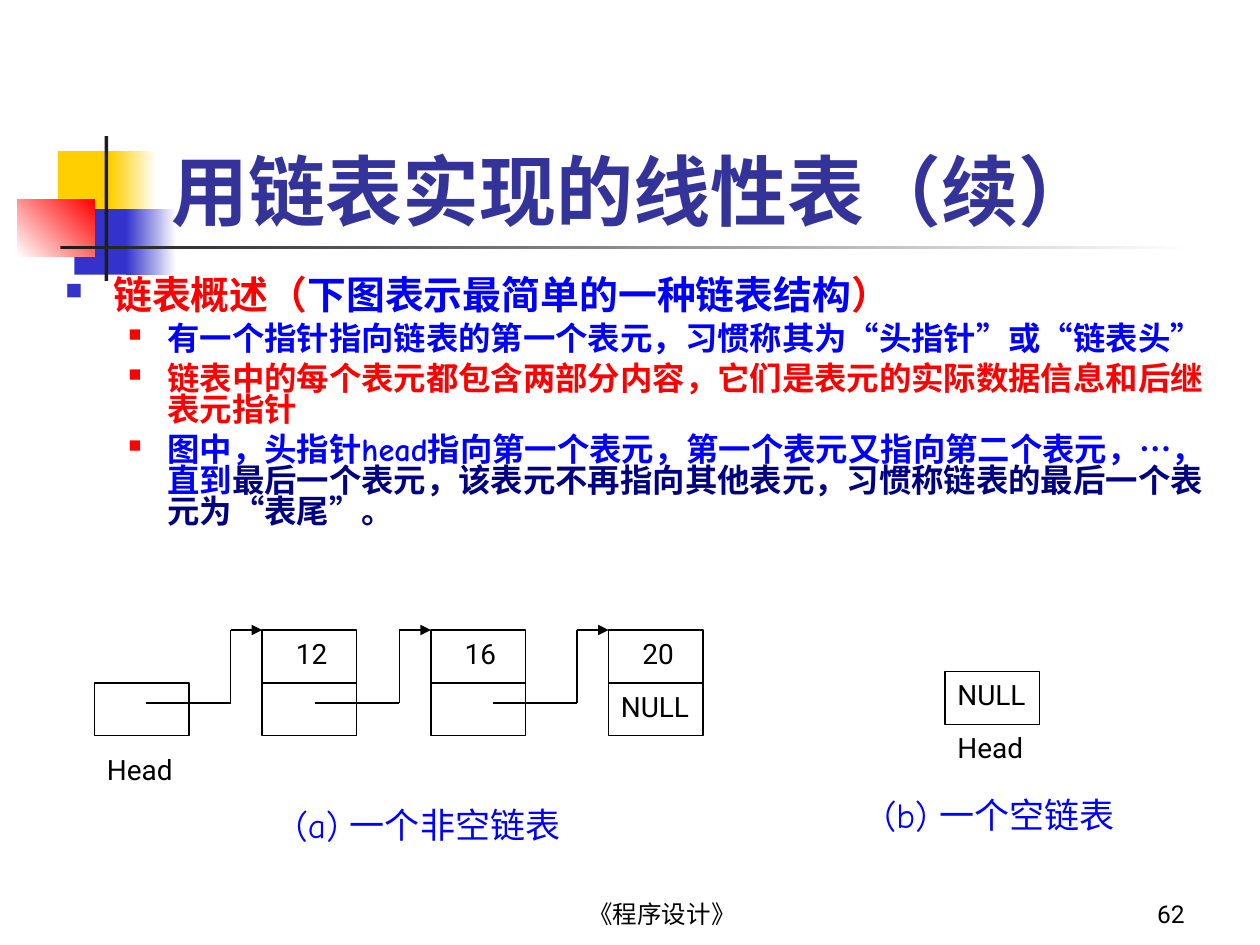
from lxml import etree
from pptx import Presentation
from pptx.dml.color import RGBColor
from pptx.enum.shapes import MSO_CONNECTOR as CONN, MSO_SHAPE as SHAPE
from pptx.enum.text import MSO_ANCHOR as ANCHOR, PP_ALIGN as ALIGN
from pptx.oxml.ns import qn
from pptx.util import Inches, Pt

COLORS = {
    "black": "000000", "white": "FFFFFF", "ink": "1C1C1C", "yellow": "FFCF01",
    "indigo": "3333CC", "red": "FF0000", "title": "333399", "blue": "0000FF",
    "navy": "000080",
}
SANS, COMIC = "Roboto", "Comic Neue"
CELL_W, CELL_H = 0.75, 0.42


def rgb(name):
    return RGBColor.from_string(COLORS[name])


def add_run(p, text, size, color, font=SANS, bold=False):
    r = p.add_run()
    r.text = text
    r.font.size, r.font.name, r.font.bold = Pt(size), font, bold
    r.font.color.rgb = rgb(color)


def add_box(slide, box, anchor=ANCHOR.TOP):
    """Add an empty wrapping text box and return its text frame."""
    tf = slide.shapes.add_textbox(*map(Inches, box)).text_frame
    tf.word_wrap = True
    tf.vertical_anchor = anchor
    return tf


def add_label(slide, box, text, size=16, color="black", font=SANS, bold=False,
              align=ALIGN.LEFT, anchor=ANCHOR.TOP):
    p = add_box(slide, box, anchor).paragraphs[0]
    p.alignment = align
    add_run(p, text, size, color, font, bold)


def add_block(slide, box, start, end=None, angle=0):
    """Add a borderless rectangle, plain or with a gradient from start to end."""
    s = slide.shapes.add_shape(SHAPE.RECTANGLE, *map(Inches, box))
    s.shadow.inherit = False
    s.line.fill.background()
    if end is None:
        s.fill.solid()
        s.fill.fore_color.rgb = rgb(start)
        return
    s.fill.gradient()
    s.fill.gradient_angle = angle
    for stop, color in zip(s.fill.gradient_stops, (start, end)):
        stop.color.rgb = rgb(color)


def add_cell(slide, x, y):
    s = slide.shapes.add_shape(SHAPE.RECTANGLE, *map(Inches, (x, y, CELL_W, CELL_H)))
    s.shadow.inherit = False
    s.fill.background()
    s.line.color.rgb = rgb("black")
    s.line.width = Pt(0.75)


def add_line(slide, start, end, arrow=False):
    c = slide.shapes.add_connector(CONN.STRAIGHT, *map(Inches, (*start, *end)))
    c.line.color.rgb = rgb("black")
    c.line.width = Pt(0.75)
    if arrow:
        etree.SubElement(c.line._get_or_add_ln(), qn("a:tailEnd"), type="triangle")
    etree.SubElement(c._element.spPr, qn("a:effectLst"))


def set_bullet(p, color, percent, margin, hanging):
    pPr = p._p.get_or_add_pPr()
    pPr.set("marL", str(Inches(margin)))
    pPr.set("indent", str(-Inches(hanging)))
    clr = etree.SubElement(pPr, qn("a:buClr"))
    etree.SubElement(clr, qn("a:srgbClr"), val=COLORS[color])
    etree.SubElement(pPr, qn("a:buSzPct"), val=str(percent * 1000))
    etree.SubElement(pPr, qn("a:buChar"), char="■")


def add_ornament(slide, x, y):
    for dx, dy, w, h, *fill in (
        (0.32, 0.12, 0.48, 0.52, "yellow"),
        (0.74, 0.12, 0.36, 0.52, "yellow", "white"),
        (0.45, 0.58, 0.46, 0.52, "indigo"),
        (0.86, 0.58, 0.4, 0.52, "indigo", "white"),
        (0, 0.5, 0.61, 0.46, "white", "red", 45),
        (0.69, 0, 0.03, 1.15, "ink"),
        (0.34, 0.87, 9, 0.03, "ink", "white"),
    ):
        add_block(slide, (x + dx, y + dy, w, h), *fill)


def add_footer(slide, y, h):
    add_label(slide, (3.67, y, 3.17, h), "《程序设计》", 14,
              align=ALIGN.CENTER, anchor=ANCHOR.BOTTOM)
    add_label(slide, (7.42, y, 2.08, h), "62", 14,
              align=ALIGN.RIGHT, anchor=ANCHOR.BOTTOM)


def add_body(slide, box):
    heading = [("链表概述（", "red"), ("下图表示最简单的一种链表结构", "blue"), ("）", "red")]
    points = [
        [("有一个指针指向链表的第一个表元，习惯称其为“头指针”或“链表头”", "blue")],
        [("链表中的每个表元都包含两部分内容，它们是表元的实际数据信息和后继表元指针", "red")],
        [("图中，头指针head指向第一个表元，第一个表元又指向第二个表元，…，直到", "blue"),
         ("最后一个表元，该表元不再指向其他表元，习惯称链表的最后一个表元为“表尾”。", "navy")],
    ]
    tf = add_box(slide, box)
    for i, parts in enumerate([heading, *points]):
        if i == 0:
            p, size = tf.paragraphs[0], 22.2
            set_bullet(p, "indigo", 60, 0.38, 0.38)
        else:
            p, size = tf.add_paragraph(), 18.5
            p.level = 1
            set_bullet(p, "red", 55, 0.81, 0.31)
            p.space_before = Pt(5)
        p.line_spacing = 0.8
        for text, color in parts:
            add_run(p, text, size, color, COMIC, bold=True)


def add_link(slide, x, top):
    """Draw the stepped pointer that ends at the upper left corner of a node."""
    start, bend, low = x - 0.92, x - 0.25, top + 0.58
    add_line(slide, (start, low), (bend, low))
    add_line(slide, (bend, low), (bend, top))
    add_line(slide, (bend, top), (x, top), arrow=True)


def add_filled_list(slide, x, y):
    """Draw the head cell and the three linked nodes."""
    low = y + CELL_H
    add_cell(slide, x, low)
    add_label(slide, (x, y + 0.92, CELL_W, 0.37), "Head")
    nodes = ((x + 1.33, "12"), (x + 2.67, "16"), (x + 4.08, "20"))
    for node_x, value in nodes:
        add_cell(slide, node_x, low)
        add_cell(slide, node_x, y)
        add_label(slide, (node_x + 0.17, y, 0.5, 0.37), value)
        add_link(slide, node_x, y)
    add_label(slide, (nodes[-1][0], low, CELL_W, 0.37), "NULL")
    add_label(slide, (x + 1.5, y + 1.33, 2.5, 0.44), "(a) 一个非空链表", 20, "blue", COMIC)


def add_empty_list(slide, x, y):
    add_cell(slide, x, y)
    add_label(slide, (x, y, CELL_W, 0.37), "NULL")
    add_label(slide, (x, y + CELL_H, CELL_W, 0.37), "Head")
    add_label(slide, (x - 0.58, y + 0.92, 2.08, 0.77), "(b) 一个空链表", 20, "blue", COMIC)


def main():
    prs = Presentation()
    prs.slide_width, prs.slide_height = Inches(10), Inches(7.5)
    slide = prs.slides.add_slide(prs.slide_layouts[6])
    add_ornament(slide, 0.14, 1.08)
    add_footer(slide, 6.92, 0.5)
    add_label(slide, (1.26, 0.67, 8.52, 1.25), "用链表实现的线性表（续）", 44,
              "title", bold=True, anchor=ANCHOR.BOTTOM)
    add_body(slide, (0.42, 2.17, 9.29, 2.42))
    add_filled_list(slide, 0.75, 5)
    add_empty_list(slide, 7.5, 5.33)
    prs.save("out.pptx")


if __name__ == "__main__":
    main()
